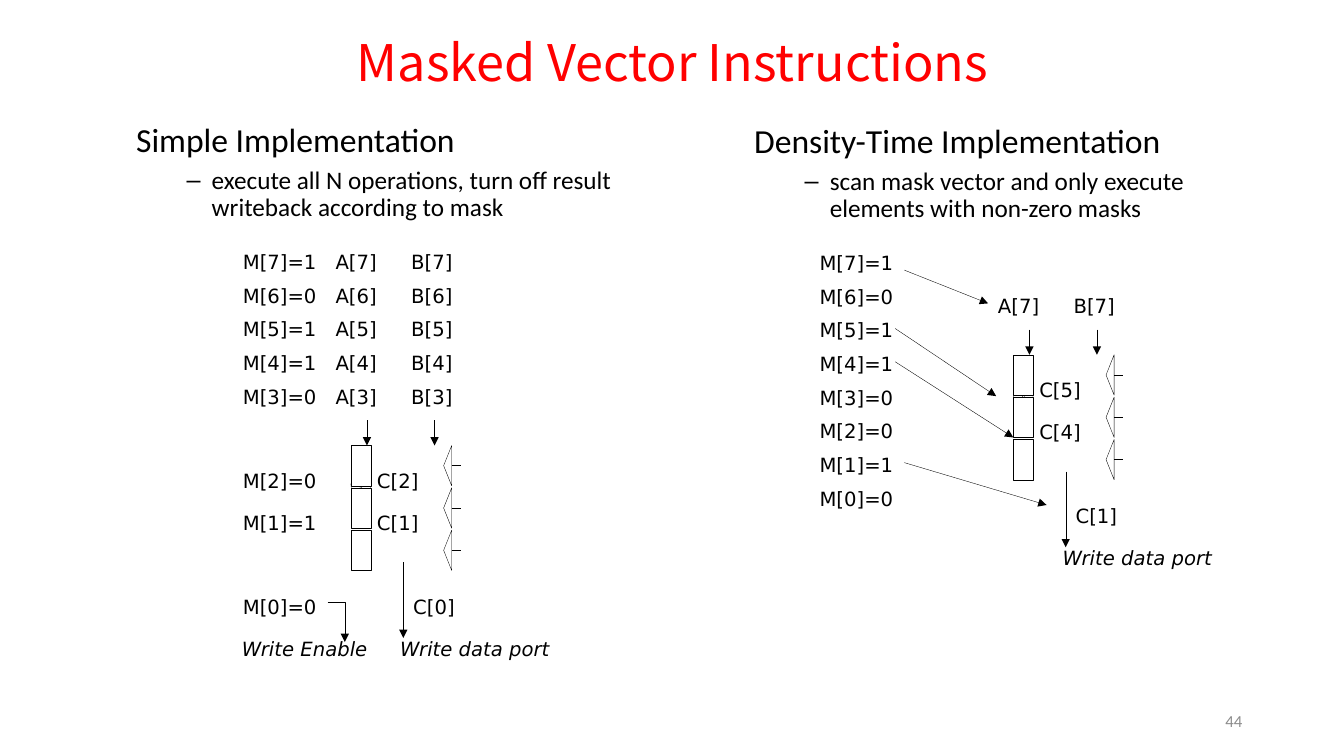
from dataclasses import dataclass

from lxml.etree import SubElement
from pptx import Presentation
from pptx.dml.color import RGBColor
from pptx.enum.shapes import MSO_CONNECTOR, MSO_SHAPE
from pptx.enum.text import MSO_ANCHOR, MSO_AUTO_SIZE, PP_ALIGN
from pptx.oxml.ns import qn
from pptx.util import Inches, Pt


@dataclass(frozen=True)
class Theme:
    ink: str = "000000"
    paper: str = "FFFFFF"
    title: str = "FF0000"
    muted: str = "8C8C8C"
    title_font: str = "Noto Sans CJK SC"
    body_font: str = "Calibri"
    label_font: str = "DejaVu Sans"
    title_size: int = 36
    head_size: int = 24
    item_size: int = 18
    label_size: int = 14
    number_size: int = 12
    line: float = 0.25


@dataclass(frozen=True)
class Label:
    text: str
    x: float
    y: float
    w: float = 0.64
    italic: bool = False


@dataclass(frozen=True)
class Arrow:
    x1: float
    y1: float
    x2: float
    y2: float


@dataclass(frozen=True)
class Panel:
    heading: str
    detail: str
    box: tuple      # left, top, width, height of the body text
    unit: tuple     # top left corner of the pipeline
    inputs: int     # element entering the pipeline
    results: tuple  # elements in the pipeline, from top to bottom


T = Theme()
MASK = (0, 1, 0, 0, 1, 1, 0, 1)
ROW = 0.334
STAGE_PITCH = 0.42
LABEL_H = 0.33

prs = Presentation()
prs.slide_width, prs.slide_height = Inches(13.33), Inches(7.5)
s = prs.slides.add_slide(prs.slide_layouts[3])


def write(p, text: str, *, size=T.label_size, font=T.label_font, color=T.ink,
          italic=False, align=PP_ALIGN.LEFT) -> None:
    p.alignment = align
    r = p.add_run()
    r.text = text
    r.font.size, r.font.name, r.font.italic = Pt(size), font, italic
    r.font.color.rgb = RGBColor.from_string(color)


def place(sp, x: float, y: float, w: float, h: float) -> None:
    sp.left, sp.top, sp.width, sp.height = (Inches(v) for v in (x, y, w, h))


def outline(sp, fill=None) -> None:
    sp.shadow.inherit = False
    sp.line.color.rgb = RGBColor.from_string(T.ink)
    sp.line.width = Pt(T.line)
    if fill:
        sp.fill.solid()
        sp.fill.fore_color.rgb = RGBColor.from_string(fill)
    else:
        sp.fill.background()


def arrowhead(sp) -> None:
    SubElement(sp.line._get_or_add_ln(), qn("a:tailEnd"), type="triangle")


def add_label(label: Label) -> None:
    sp = s.shapes.add_textbox(*(Inches(v) for v in (label.x, label.y, label.w, LABEL_H)))
    tf = sp.text_frame
    tf.word_wrap = False
    tf.auto_size = MSO_AUTO_SIZE.SHAPE_TO_FIT_TEXT
    tf.vertical_anchor = MSO_ANCHOR.MIDDLE
    write(tf.paragraphs[0], label.text, italic=label.italic)


def add_line(a: Arrow, head: bool = True) -> None:
    sp = s.shapes.add_connector(MSO_CONNECTOR.STRAIGHT,
                                *(Inches(v) for v in (a.x1, a.y1, a.x2, a.y2)))
    sp.line.color.rgb = RGBColor.from_string(T.ink)
    sp.line.width = Pt(T.line)
    if head:
        arrowhead(sp)
    SubElement(sp._element.spPr, qn("a:effectLst"))


def add_outline(points: list, fill=None, close: bool = True):
    pts = [(Inches(x), Inches(y)) for x, y in points]
    fb = s.shapes.build_freeform(*pts[0], scale=1.0)
    fb.add_line_segments(pts[1:], close=close)
    sp = fb.convert_to_shape()
    outline(sp, fill)
    return sp


def add_body(sp, panel: Panel) -> None:
    place(sp, *panel.box)
    tf = sp.text_frame
    tf.word_wrap = True
    tf.auto_size = MSO_AUTO_SIZE.SHAPE_TO_FIT_TEXT
    tf.vertical_anchor = MSO_ANCHOR.MIDDLE
    rows = ((panel.heading, T.head_size, 0.31, -0.31, None),
            (panel.detail, T.item_size, 0.75, -0.25, "–"))
    for level, (text, size, margin, indent, bullet) in enumerate(rows):
        p = tf.add_paragraph() if level else tf.paragraphs[0]
        p.level, p.line_spacing = level, 0.9
        write(p, text, size=size, font=T.body_font)
        pPr = p._p.get_or_add_pPr()
        pPr.set("marL", str(Inches(margin)))
        pPr.set("indent", str(Inches(indent)))
        SubElement(SubElement(pPr, qn("a:spcBef")), qn("a:spcPct"), val="30000")
        if bullet:
            SubElement(pPr, qn("a:buChar"), char=bullet)
        else:
            SubElement(pPr, qn("a:buNone"))


def add_pipeline(panel: Panel) -> None:
    x, y = panel.unit
    # Functional unit behind the stages
    add_outline([(x + dx, y + dy) for dx, dy in (
        (0, 0.38), (0.05, 0.78), (0.15, 0.78), (0.2, 0.38),
        (0.12, 0.38), (0.1, 0.44), (0.08, 0.38))])
    # Stage registers with clock marks
    for i in range(3):
        top = y + i * STAGE_PITCH
        sp = s.shapes.add_shape(MSO_SHAPE.RECTANGLE, Inches(x), Inches(top),
                                Inches(0.2), Inches(0.4))
        outline(sp, T.paper)
        add_outline([(x + 1, top + 0.4), (x + 0.92, top + 0.2), (x + 1, top)], T.paper)
        add_line(Arrow(x + 1, top + 0.2, x + 1.09, top + 0.2), head=False)
    # Operands in, results out
    for dx in (0.16, 0.83):
        add_line(Arrow(x + dx, y - 0.25, x + dx, y))
    add_line(Arrow(x + 0.52, y + 1.16, x + 0.52, y + 1.91))
    for n, dx, dy in zip(panel.results, (0.16, 0.16, 0.52), (0.18, 0.6, 1.43)):
        add_label(Label(f"C[{n}]", x + dx, y + dy))
    add_operands(panel.inputs, x - 0.25, y - 0.65)
    add_label(Label("Write data port", x + 0.39, y + 1.85, 1.69, True))


def add_operands(n: int, x: float, y: float) -> None:
    add_label(Label(f"A[{n}]", x, y))
    add_label(Label(f"B[{n}]", x + 0.75, y))


def add_mask(n: int, x: float, y: float) -> None:
    add_label(Label(f"M[{n}]={MASK[n]}", x, y, 0.95))


simple = Panel("Simple Implementation",
               "execute all N operations, turn off result writeback according to mask",
               (1.25, 1.16, 5.42, 1.11), (3.48, 4.42), 3, (2, 1, 0))
density = Panel("Density-Time Implementation",
                "scan mask vector and only execute elements with non-zero masks",
                (7.38, 1.17, 5.17, 1.11), (10.05, 3.52), 7, (5, 4, 1))

# Title and slide number
title = s.shapes.title
place(title, 0.92, 0.4, 11.5, 0.49)
title.text_frame.auto_size = MSO_AUTO_SIZE.NONE
title.text_frame.vertical_anchor = MSO_ANCHOR.MIDDLE
p = title.text_frame.paragraphs[0]
p.line_spacing = 0.9
write(p, "Masked Vector Instructions", size=T.title_size, font=T.title_font,
      color=T.title, align=PP_ALIGN.CENTER)

number = s.shapes.add_textbox(Inches(9.42), Inches(6.95), Inches(3), Inches(0.4))
number.text_frame.word_wrap = True
number.text_frame.vertical_anchor = MSO_ANCHOR.MIDDLE
write(number.text_frame.paragraphs[0], "44", size=T.number_size, font=T.body_font,
      color=T.muted, align=PP_ALIGN.RIGHT)

# Both panels
for idx, panel in enumerate((simple, density), start=1):
    add_body(s.placeholders[idx], panel)
    add_pipeline(panel)

# Simple: waiting rows, then masks beside the pipeline
for n in range(7, 2, -1):
    row_y = 2.43 + (7 - n) * ROW
    add_mask(n, 2.31, row_y)
    if n != simple.inputs:
        add_operands(n, 3.23, row_y)
for n, row_y in zip(simple.results, (4.6, 5.02, 5.85)):
    add_mask(n, 2.31, row_y)
arrowhead(add_outline([(3.25, 5.97), (3.42, 5.97), (3.42, 6.37)], close=False))
add_label(Label("Write Enable", 2.3, 6.27, 1.46, True))

# Density-time: whole mask vector with arrows from its set bits
for n in range(7, -1, -1):
    add_mask(n, 8.03, 2.44 + (7 - n) * ROW)
for arrow in (Arrow(8.97, 2.68, 9.8, 3.01), Arrow(8.88, 3.26, 9.88, 3.93),
              Arrow(8.88, 3.59, 10.05, 4.34), Arrow(8.97, 4.59, 10.38, 5.01)):
    add_line(arrow)

prs.save("out.pptx")
